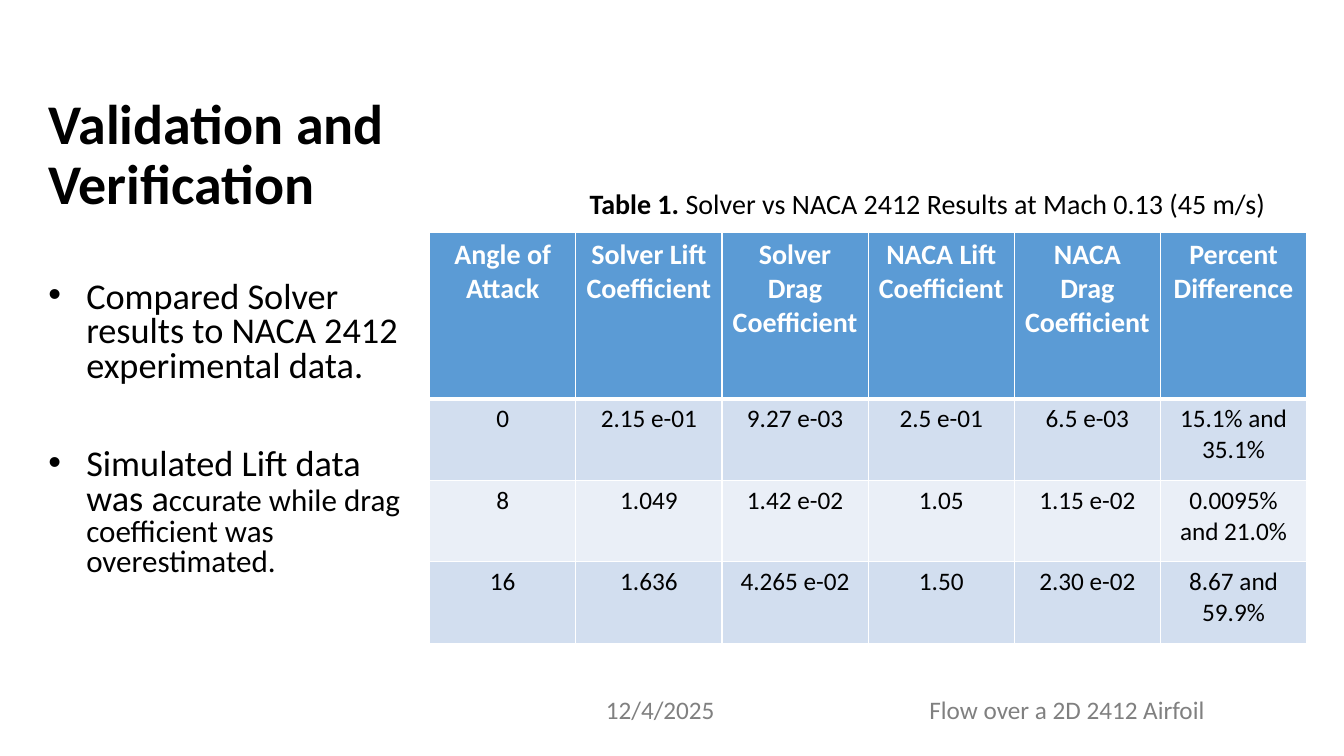
from lxml.etree import SubElement
from pptx import Presentation
from pptx.dml.color import RGBColor
from pptx.enum.text import MSO_ANCHOR, MSO_AUTO_SIZE, PP_ALIGN
from pptx.oxml.ns import qn
from pptx.util import Pt

HEADINGS = [
    "Angle of Attack", "Solver Lift Coefficient", "Solver Drag Coefficient",
    "NACA Lift Coefficient", "NACA Drag Coefficient", "Percent Difference",
]
RESULTS = [
    ["0", "2.15 e-01", "9.27 e-03", "2.5 e-01", "6.5 e-03", "15.1% and 35.1%"],
    ["8", "1.049", "1.42 e-02", "1.05", "1.15 e-02", "0.0095% and 21.0%"],
    ["16", "1.636", "4.265 e-02", "1.50", "2.30 e-02", "8.67 and 59.9%"],
]
FINDINGS = [
    [("Compared Solver results to NACA 2412 experimental data.", 25.9)],
    [("Simulated Lift data was a", 25.9),
     ("ccurate while drag coefficient was overestimated.", 22.2)],
]


def color(value):
    """Return the colour for a hex string."""
    return RGBColor.from_string(value)


def format_run(run, size, ink="000000", bold=False):
    """Set the font of one run."""
    run.font.name = "Calibri"
    run.font.size = Pt(size)
    run.font.bold = bold
    run.font.color.rgb = color(ink)


def place(shape, box):
    """Move a shape to a box given in points."""
    shape.left, shape.top, shape.width, shape.height = map(Pt, box)


def fill_title(title, box):
    """Write the slide title."""
    place(title, box)
    frame = title.text_frame
    frame.text = "Validation and Verification"
    frame.word_wrap = True
    frame.auto_size = MSO_AUTO_SIZE.NONE
    frame.vertical_anchor = MSO_ANCHOR.BOTTOM
    paragraph = frame.paragraphs[0]
    paragraph.alignment = PP_ALIGN.LEFT
    paragraph.line_spacing = 0.9
    format_run(paragraph.runs[0], 40, bold=True)


def fill_findings(body, box):
    """Write the bulleted findings."""
    place(body, box)
    frame = body.text_frame
    frame.word_wrap = True
    frame.auto_size = MSO_AUTO_SIZE.NONE
    for index, parts in enumerate(FINDINGS):
        paragraph = frame.add_paragraph() if index else frame.paragraphs[0]
        properties = paragraph._p.get_or_add_pPr()
        properties.set("marL", str(Pt(27)))
        properties.set("indent", str(-Pt(27)))
        SubElement(properties, qn("a:buFont")).set("typeface", "Arial")
        SubElement(properties, qn("a:buChar")).set("char", "•")
        paragraph.line_spacing = 0.8
        paragraph.space_before = Pt(45 if index else 0)
        paragraph.space_after = Pt(0)
        for text, size in parts:
            run = paragraph.add_run()
            run.text = text
            format_run(run, size)


def add_caption(slide, box):
    """Add the table caption."""
    caption = slide.shapes.add_textbox(*map(Pt, box))
    caption.text_frame.word_wrap = False
    paragraph = caption.text_frame.paragraphs[0]
    parts = [("Table 1. ", True),
             ("Solver vs NACA 2412 Results at Mach 0.13 (45 m/s)", False)]
    for text, bold in parts:
        run = paragraph.add_run()
        run.text = text
        format_run(run, 20, bold=bold)


def add_borders(cell, bottom):
    """Draw white borders round a cell."""
    properties = cell._tc.get_or_add_tcPr()
    for side, width in zip("LRTB", (1, 1, 1, bottom)):
        line = SubElement(properties, qn(f"a:ln{side}"), w=str(Pt(width)))
        solid = SubElement(line, qn("a:solidFill"))
        SubElement(solid, qn("a:srgbClr"), val="FFFFFF")


def add_results(slide, box):
    """Add the table of coefficients."""
    rows = [HEADINGS] + RESULTS
    table = slide.shapes.add_table(len(rows), len(HEADINGS), *map(Pt, box)).table
    header_height = 118.8
    for column in table.columns:
        column.width = Pt(box[2] / len(HEADINGS))
    for row_index, texts in enumerate(rows):
        header = row_index == 0
        height = header_height if header else (box[3] - header_height) / len(RESULTS)
        table.rows[row_index].height = Pt(height)
        fill = "5B9BD5" if header else ("EAEFF7", "D2DEEF")[row_index % 2]
        for column_index, text in enumerate(texts):
            cell = table.cell(row_index, column_index)
            add_borders(cell, 3 if header else 1)
            cell.fill.solid()
            cell.fill.fore_color.rgb = color(fill)
            cell.text_frame.text = text
            paragraph = cell.text_frame.paragraphs[0]
            paragraph.alignment = PP_ALIGN.CENTER
            format_run(paragraph.runs[0], 20 if header else 18,
                       "FFFFFF" if header else "000000", header)


def add_footer(slide, box, text, alignment):
    """Add one grey footer text."""
    footer = slide.shapes.add_textbox(*map(Pt, box))
    frame = footer.text_frame
    frame.word_wrap = True
    frame.vertical_anchor = MSO_ANCHOR.MIDDLE
    frame.text = text
    paragraph = frame.paragraphs[0]
    paragraph.alignment = alignment
    format_run(paragraph.runs[0], 18, "808080")


def main():
    """Build the slide and save it."""
    presentation = Presentation()
    presentation.slide_width, presentation.slide_height = Pt(960), Pt(540)
    slide = presentation.slides.add_slide(presentation.slide_layouts[1])
    fill_title(slide.shapes.title, (27.4, 50.4, 440, 108))
    fill_findings(slide.placeholders[1], (27.4, 197.3, 273.6, 254.9))
    add_results(slide, (306.9, 166, 626.4, 293.7))
    add_caption(slide, (414, 129.6, 502.6, 31.7))
    add_footer(slide, (363.6, 492, 216, 28.8), "12/4/2025", PP_ALIGN.CENTER)
    add_footer(slide, (651.6, 492, 216, 28.8), "Flow over a 2D 2412 Airfoil",
               PP_ALIGN.RIGHT)
    presentation.save("out.pptx")


if __name__ == "__main__":
    main()
